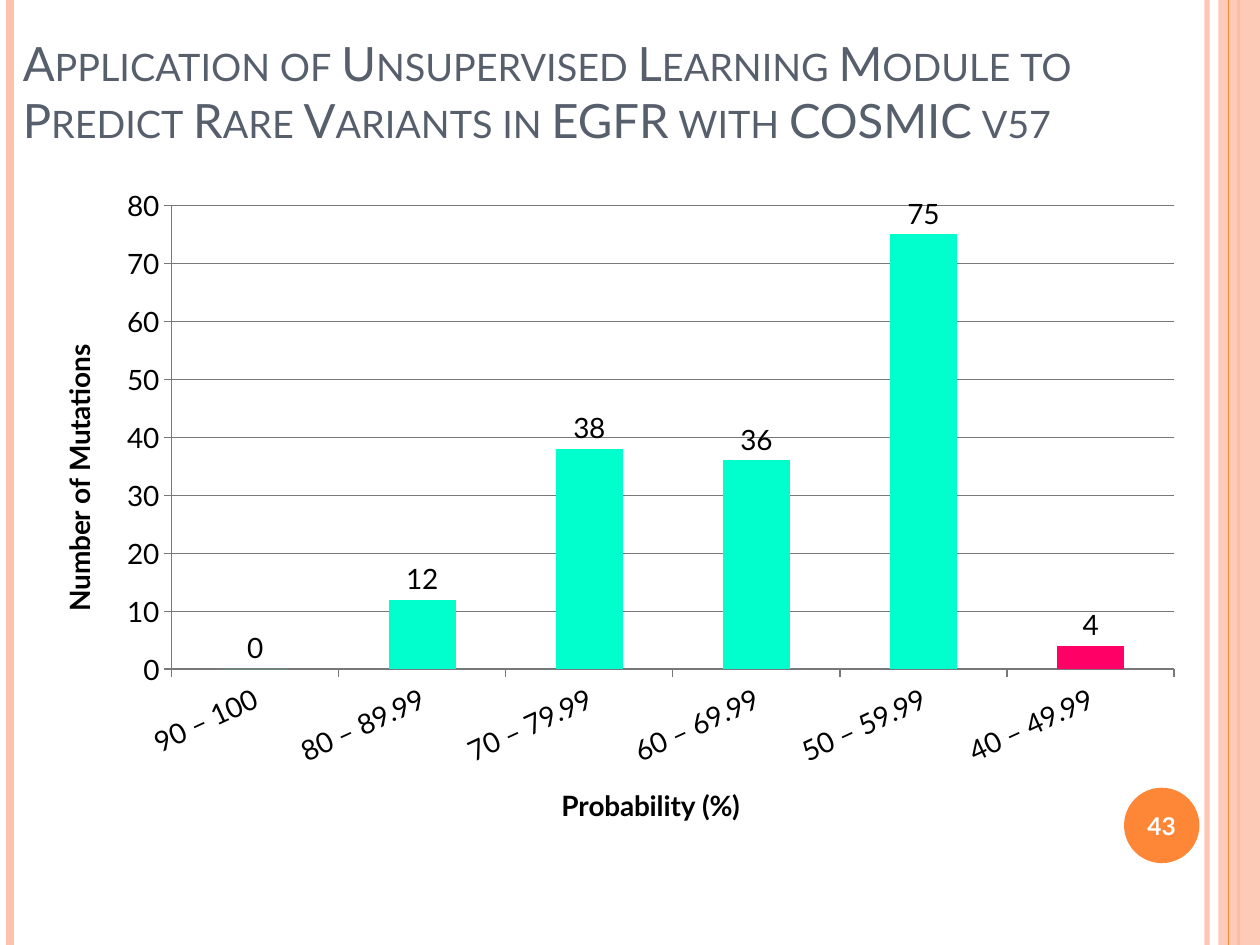
from dataclasses import dataclass

from lxml import etree
from pptx import Presentation
from pptx.chart.data import CategoryChartData
from pptx.dml.color import RGBColor
from pptx.enum.chart import XL_CHART_TYPE, XL_LABEL_POSITION, XL_TICK_MARK
from pptx.enum.shapes import MSO_CONNECTOR, MSO_SHAPE
from pptx.enum.text import MSO_ANCHOR, PP_ALIGN
from pptx.oxml import parse_xml
from pptx.oxml.ns import nsdecls, qn
from pptx.util import Cm, Pt

COLUMNS = XL_CHART_TYPE.COLUMN_CLUSTERED
OUTSIDE_END = XL_LABEL_POSITION.OUTSIDE_END
TICK_OUT = XL_TICK_MARK.OUTSIDE
STRAIGHT = MSO_CONNECTOR.STRAIGHT
RECTANGLE, OVAL = MSO_SHAPE.RECTANGLE, MSO_SHAPE.OVAL
BOTTOM, MIDDLE = MSO_ANCHOR.BOTTOM, MSO_ANCHOR.MIDDLE
LEFT, CENTER = PP_ALIGN.LEFT, PP_ALIGN.CENTER


@dataclass(frozen=True)
class Theme:
    font: str = "Lato"
    title_size: float = 27
    chart_size: float = 16
    number_size: float = 14
    title: str = "575F6D"
    peach: str = "FEC3AE"
    orange: str = "FE8637"
    bar: str = "00FFCC"
    rare_bar: str = "FF0066"
    grid: str = "787878"
    black: str = "000000"
    white: str = "FFFFFF"


@dataclass(frozen=True)
class Box:
    """A region of the slide, in centimetres."""
    left: float
    top: float
    width: float
    height: float

    def lengths(self):
        return Cm(self.left), Cm(self.top), Cm(self.width), Cm(self.height)


THEME = Theme()
PAGE = Box(0, 0, 25.4, 19.05)
MUTATIONS = {
    "90 – 100": 0,
    "80 – 89.99": 12,
    "70 – 79.99": 38,
    "60 – 69.99": 36,
    "50 – 59.99": 75,
    "40 – 49.99": 4,
}


def rgb(color):
    return RGBColor.from_string(color)


def style_font(font, size, color, bold=False):
    font.name, font.size, font.bold = THEME.font, Pt(size), bold
    font.color.rgb = rgb(color)


def set_alpha(fill_parent, percent):
    color = next(fill_parent.iter(qn("a:srgbClr")))
    etree.SubElement(color, qn("a:alpha")).set("val", str(percent * 1000))


def add_rule(slide, box, x, color, width, alpha=100):
    """Draw a full-height vertical rule, x centimetres into the box."""
    x = Cm(box.left + x)
    rule = slide.shapes.add_connector(STRAIGHT, x, Cm(box.top), x, Cm(box.top + box.height))
    rule.line.color.rgb = rgb(color)
    rule.line.width = Pt(width)
    properties = rule._element.spPr
    if alpha < 100:
        set_alpha(properties, alpha)
    etree.SubElement(properties, qn("a:effectLst"))


def add_filled_shape(slide, kind, box, color):
    shape = slide.shapes.add_shape(kind, *box.lengths())
    shape.shadow.inherit = False
    shape.fill.solid()
    shape.fill.fore_color.rgb = rgb(color)
    shape.line.fill.background()
    return shape


def add_text(slide, box, text, size, color, anchor, alignment, bold=False):
    frame = slide.shapes.add_textbox(*box.lengths()).text_frame
    frame.word_wrap = True
    frame.vertical_anchor = anchor
    paragraph = frame.paragraphs[0]
    paragraph.alignment = alignment
    run = paragraph.add_run()
    run.text = text
    style_font(run.font, size, color, bold)
    return run


def add_side_bands(slide, box):
    add_rule(slide, box, 24.33, THEME.peach, 3, alpha=93)
    add_rule(slide, box, 0.2, THEME.peach, 4.5)
    add_rule(slide, box, 24.97, THEME.orange, 1.5)
    band_width = 0.84
    band_box = Box(box.left + box.width - band_width, box.top, band_width, box.height)
    band = add_filled_shape(slide, RECTANGLE, band_box, THEME.peach)
    set_alpha(band._element.spPr, 87)
    add_rule(slide, box, 24.76, THEME.orange, 0.75)


def add_title(slide, box):
    run = add_text(
        slide, box,
        "Application of Unsupervised Learning Module to Predict Rare Variants "
        "in EGFR with COSMIC v57",
        THEME.title_size, THEME.title, BOTTOM, LEFT)
    run.font._element.set("cap", "small")


def style_axis(axis, title):
    axis.major_tick_mark = TICK_OUT
    axis.format.line.color.rgb = rgb(THEME.grid)
    axis.format.line.width = Pt(0.75)
    style_font(axis.tick_labels.font, THEME.chart_size, THEME.black)
    run = axis.axis_title.text_frame.paragraphs[0].add_run()
    run.text = title
    style_font(run.font, THEME.chart_size, THEME.black, bold=True)


def set_plot_area(chart, **fractions):
    """Fix the inner plot area as fractions of the chart box."""
    places = "".join(f'<c:{name} val="{value}"/>' for name, value in fractions.items())
    layout = parse_xml(
        f'<c:layout {nsdecls("c")}><c:manualLayout><c:layoutTarget val="inner"/>'
        f'<c:xMode val="edge"/><c:yMode val="edge"/>{places}</c:manualLayout></c:layout>')
    plot_area = chart._chartSpace.chart.plotArea
    for old_layout in plot_area.findall(qn("c:layout")):
        plot_area.remove(old_layout)
    plot_area.insert(0, layout)


def add_mutation_chart(slide, box):
    data = CategoryChartData()
    data.categories = list(MUTATIONS)
    data.add_series("Series 1", list(MUTATIONS.values()))
    chart = slide.shapes.add_chart(COLUMNS, *box.lengths(), data).chart
    chart.has_legend = False
    chart.has_title = False
    style_font(chart.font, THEME.chart_size, THEME.black)
    set_plot_area(chart, x=0.12, y=0.04, w=0.86, h=0.69)

    # Axes
    style_axis(chart.category_axis, "Probability (%)")
    chart.category_axis.tick_labels.font
    label_body = chart.category_axis._element.find(qn("c:txPr")).find(qn("a:bodyPr"))
    label_body.set("rot", str(-25 * 60000))
    value_axis = chart.value_axis
    style_axis(value_axis, "Number of Mutations")
    value_axis.minimum_scale, value_axis.maximum_scale, value_axis.major_unit = 0, 80, 10
    value_axis.has_major_gridlines = True
    value_axis.major_gridlines.format.line.color.rgb = rgb(THEME.grid)
    value_axis.major_gridlines.format.line.width = Pt(0.75)

    # Bars, with the rarest group marked
    plot = chart.plots[0]
    plot.gap_width = 150
    plot.vary_by_categories = False
    series = plot.series[0]
    rare_point = series.points[len(MUTATIONS) - 1]
    for part, color in ((series, THEME.bar), (rare_point, THEME.rare_bar)):
        part.format.fill.solid()
        part.format.fill.fore_color.rgb = rgb(color)
    labels = series.data_labels
    labels.show_value = True
    labels.position = OUTSIDE_END
    style_font(labels.font, THEME.chart_size, THEME.black)


def add_page_number(slide, box):
    add_filled_shape(slide, OVAL, box, THEME.orange)
    margin = 0.09
    text_box = Box(box.left - margin, box.top + 0.04, box.width + 2 * margin, box.height - 0.08)
    add_text(slide, text_box, "43", THEME.number_size, THEME.white, MIDDLE, CENTER, bold=True)


def main():
    presentation = Presentation()
    presentation.slide_width, presentation.slide_height = Cm(PAGE.width), Cm(PAGE.height)
    slide = presentation.slides.add_slide(presentation.slide_layouts[6])
    add_side_bands(slide, PAGE)
    add_title(slide, Box(0.21, 0.64, 23.92, 2.46))
    add_mutation_chart(slide, Box(0.64, 3.6, 23.5, 13.55))
    add_page_number(slide, Box(22.66, 15.88, 1.52, 1.52))
    presentation.save("out.pptx")


if __name__ == "__main__":
    main()
